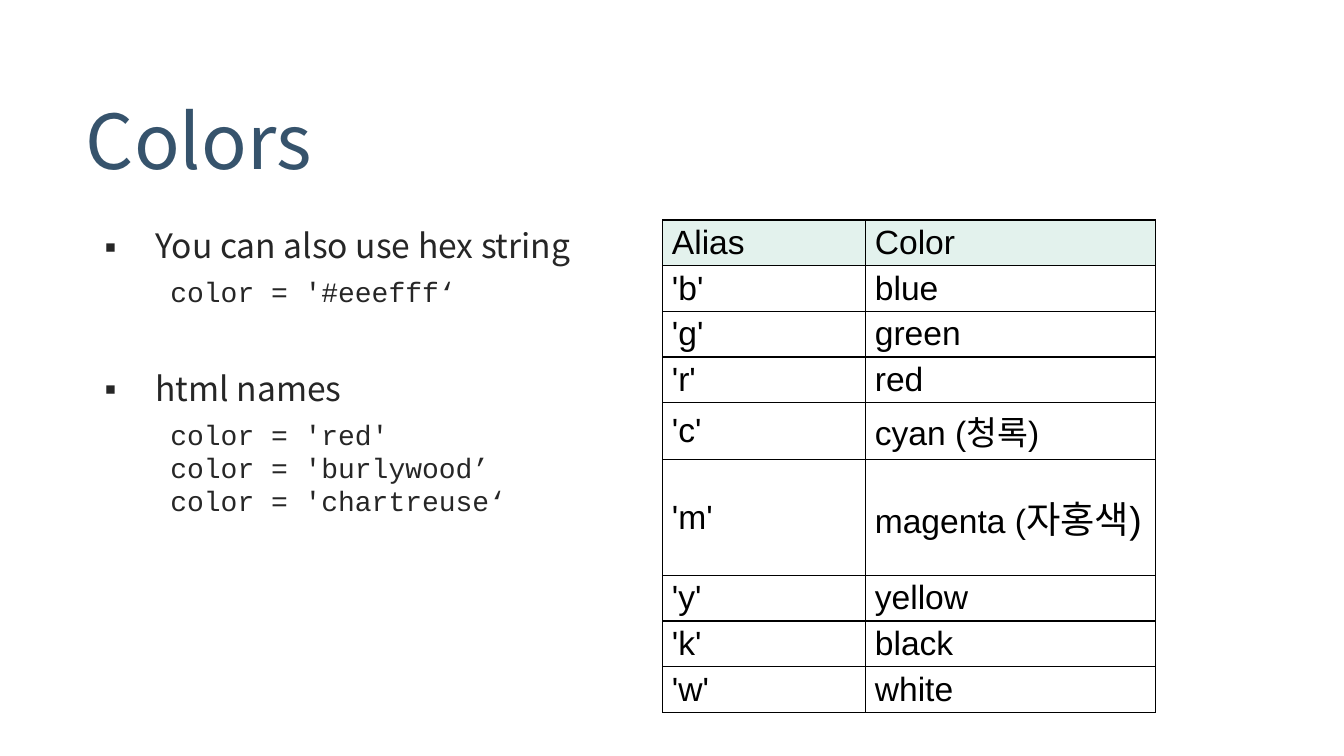
from lxml import etree
from pptx import Presentation
from pptx.dml.color import RGBColor
from pptx.enum import text
from pptx.oxml import parse_xml
from pptx.oxml.ns import nsdecls, qn
from pptx.util import Emu, Inches, Pt

COLORS = {"title": "36536C", "body": "262626", "header": "E3F2ED", "line": "000000"}
SANS, MONO, TABLE = "Noto Sans CJK KR", "Courier New", "Arial"

# A 16:9 slide
presentation = Presentation()
presentation.slide_width = Inches(10)
presentation.slide_height = presentation.slide_width * 9 // 16
slide = presentation.slides.add_slide(presentation.slide_layouts[6])

# Grid of 100 columns by 100 rows
COLUMN = presentation.slide_width / 100
ROW = presentation.slide_height / 100


def write(paragraph, content, font=SANS, size=18, color="body", before=0,
          spacing=None, indent=0, hanging=0, bullet=None):
    """Add content to the paragraph with the given format."""
    properties = paragraph._p.get_or_add_pPr()
    properties.set("marL", str(Inches(indent)))
    properties.set("indent", str(-Inches(hanging)))
    if bullet:
        etree.SubElement(properties, qn("a:buFont"), typeface=TABLE)
        etree.SubElement(properties, qn("a:buChar"), char=bullet)
    paragraph.space_before = Pt(before)
    if spacing:
        paragraph.line_spacing = spacing
    for number, line in enumerate(content.split("\n")):
        if number:
            paragraph.add_line_break()
        run = paragraph.add_run()
        run.text = line
        run.font.name, run.font.size = font, Pt(size)
        run.font.color.rgb = RGBColor.from_string(COLORS[color])
        etree.SubElement(run._r.get_or_add_rPr(), qn("a:ea"), typeface=SANS)


def add_frame(left, top, width, height, anchor):
    """Add a wrapping text box placed on the grid."""
    shape = slide.shapes.add_textbox(Emu(int(left * COLUMN)), Emu(int(top * ROW)),
                                     Emu(int(width * COLUMN)), Emu(int(height * ROW)))
    shape.text_frame.word_wrap = True
    shape.text_frame.vertical_anchor = anchor
    return shape.text_frame


# Title
title = add_frame(5.4, 7.3, 88.4, 24.2, text.MSO_ANCHOR.MIDDLE)
write(title.paragraphs[0], "Colors", size=40.5, color="title", spacing=0.85)

# Bullets, each with its code lines
examples = [
    ("You can also use hex string", "color = '#eeefff‘", 0),
    ("html names", "color = 'red' \ncolor = 'burlywood’\ncolor = 'chartreuse‘", 32.7),
]
body = add_frame(5.6, 29.2, 38.3, 55, text.MSO_ANCHOR.TOP)
for number, (heading, code, before) in enumerate(examples):
    paragraph = body.add_paragraph() if number else body.paragraphs[0]
    write(paragraph, heading, before=before, spacing=0.98,
          indent=0.5, hanging=0.38, bullet="▪")
    write(body.add_paragraph(), code, font=MONO, size=15, before=4.5,
          spacing=Pt(17.8), indent=0.61)

# Table of colour aliases
aliases = [
    ("Alias", "Color"), ("'b'", "blue"), ("'g'", "green"), ("'r'", "red"),
    ("'c'", "cyan (청록)"), ("'m'", "magenta (|자홍색)"), ("'y'", "yellow"),
    ("'k'", "black"), ("'w'", "white"),
]
ROW_HEIGHT = 6.03
TALL_ROWS = {4: 7.5, 5: 15.35}
heights = [TALL_ROWS.get(number, ROW_HEIGHT) for number in range(len(aliases))]
widths = [15.1, 21.6]
table = slide.shapes.add_table(
    len(aliases), len(widths), Emu(int(49.3 * COLUMN)), Emu(int(29.1 * ROW)),
    Emu(int(sum(widths) * COLUMN)), Emu(int(sum(heights) * ROW))).table
for column, width in zip(table.columns, widths):
    column.width = Emu(int(width * COLUMN))
for number, (row, height, values) in enumerate(zip(table.rows, heights, aliases)):
    row.height = Emu(int(height * ROW))
    for cell, value in zip(row.cells, values):
        cell.margin_left = cell.margin_right = Inches(0.07)
        cell.margin_top = cell.margin_bottom = Inches(0.02)
        cell.vertical_anchor = text.MSO_ANCHOR.MIDDLE
        # The part after the bar is set larger
        for part, size in zip(value.split("|"), (18, 20)):
            write(cell.text_frame.paragraphs[0], part, font=TABLE, size=size, color="line")
        if number == 0:
            cell.fill.solid()
            cell.fill.fore_color.rgb = RGBColor.from_string(COLORS["header"])
        else:
            cell.fill.background()
        for position, side in enumerate(("lnL", "lnR", "lnT", "lnB")):
            border = parse_xml(
                f'<a:{side} {nsdecls("a")} w="{Pt(0.75)}"><a:solidFill>'
                f'<a:srgbClr val="{COLORS["line"]}"/></a:solidFill></a:{side}>')
            cell._tc.get_or_add_tcPr().insert(position, border)

presentation.save("out.pptx")
